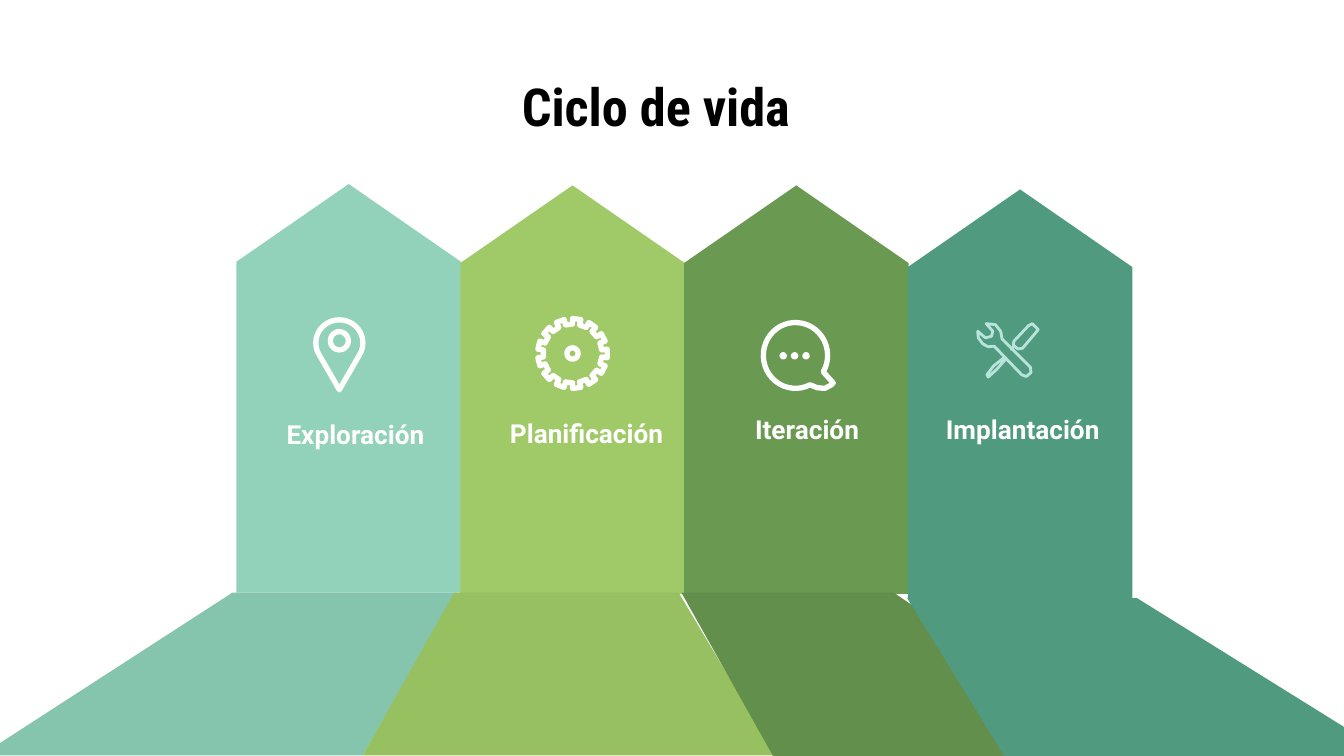
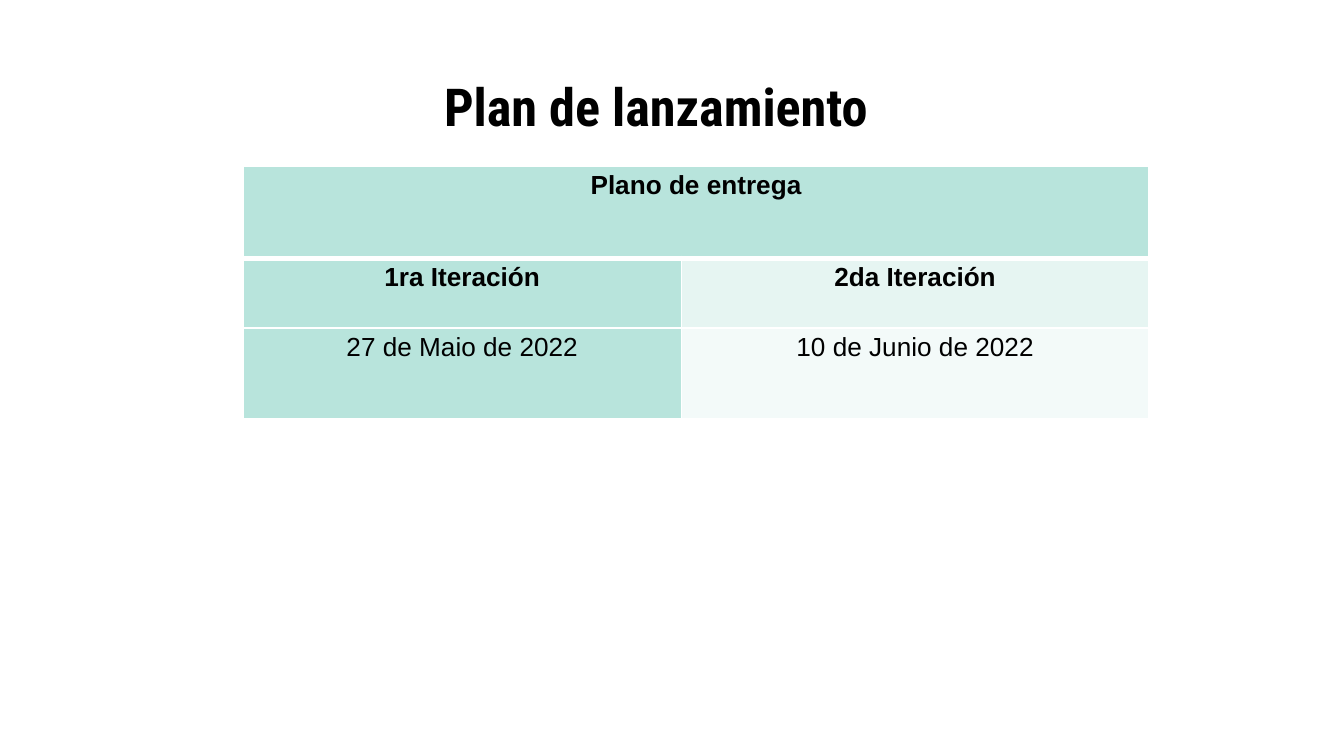
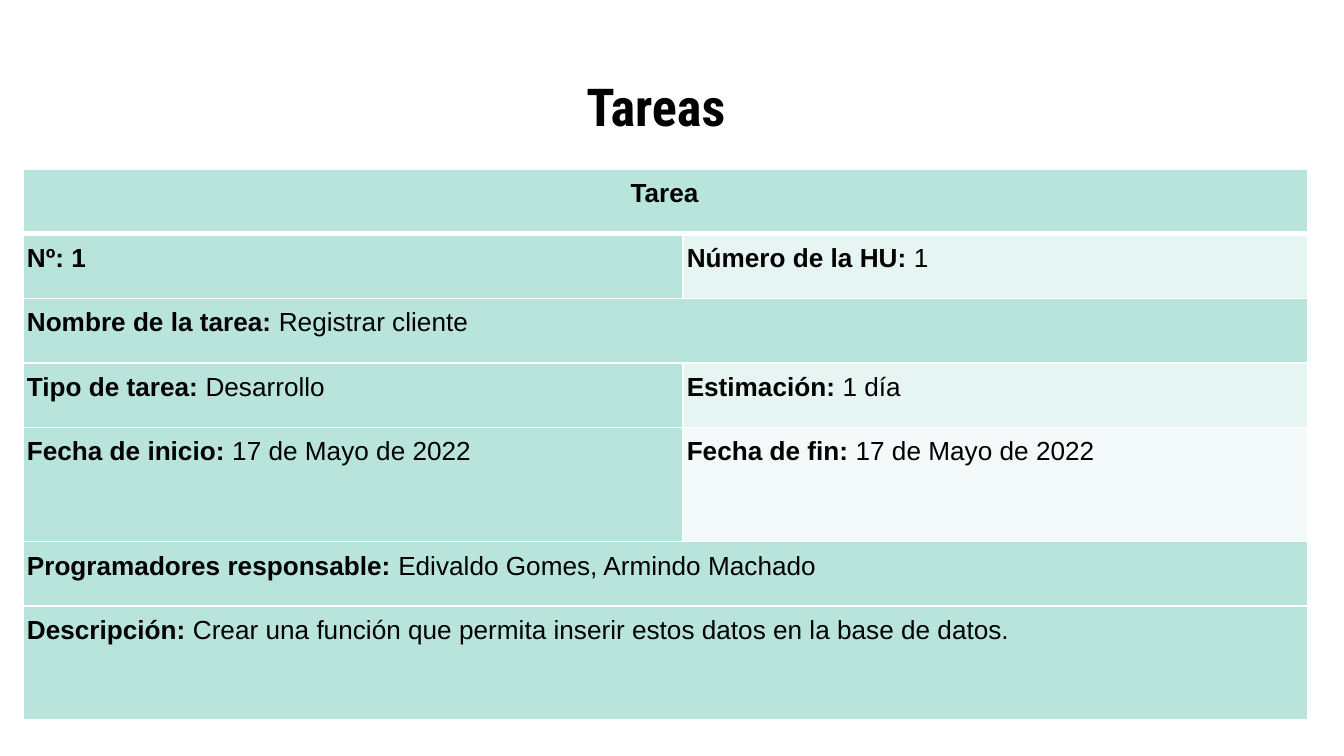
from math import cos, radians, sin

from lxml import etree
from pptx import Presentation, util as u
from pptx.dml.color import RGBColor
from pptx.enum import shapes, text
from pptx.oxml.ns import qn

# Boxes are (left, top, width, height) on a grid of 100 columns with square cells.
WIDTH = u.Inches(10)
HEIGHT = WIDTH * 9 // 16
CELL = WIDTH // 100

WHITE, BLACK = "FFFFFF", "000000"
MINT, MINT_BAND, MINT_PALE = "B8E4DC", "E6F5F2", "F3FAF9"

TITLE_BOX = (5, 4.5, 87.6, 5.2)
TITLE_FONT = {"name": "Roboto Condensed", "size": u.Pt(28), "bold": True}
LABEL_FONT = {"name": "Roboto", "size": u.Pt(14), "bold": True}
TABLE_FONT = {"name": "Arial", "size": u.Pt(14)}
CENTER, LEFT = text.PP_ALIGN.CENTER, text.PP_ALIGN.LEFT

PANEL_LEFT, PANEL_STEP = 17.6, 16.65
PANEL_SIZE = (16.7, 30.4)
PANEL = [(0.5, 0), (0, 0.19), (0, 1), (1, 1), (1, 0.19)]
LABEL_SIZE = (14.1, 2.8)


def rgb(color):
    return RGBColor.from_string(color)


def grid(*cells):
    return [round(cell * CELL) for cell in cells]


def within(box, x, y):
    """Grid point at the shares x, y of a box."""
    left, top, width, height = box
    return left + x * width, top + y * height


def set_all(target, values):
    for name, value in values.items():
        setattr(target, name, value)


def paint(shape, fill=None, line=None, weight=0.75):
    shape.shadow.inherit = False
    for part, color in ((shape.fill, fill), (shape.line.fill, line)):
        if color:
            part.solid()
            part.fore_color.rgb = rgb(color)
        else:
            part.background()
    if line:
        shape.line.width = u.Pt(weight)


def outline(slide, box, contours, **look):
    """Closed contours whose points are shares of the box."""
    contours = [[grid(*within(box, *point)) for point in points] for points in contours]
    builder = slide.shapes.build_freeform(*contours[0][0], scale=1.0)
    for number, (start, *others) in enumerate(contours):
        if number:
            builder.move_to(*start)
        builder.add_line_segments(others, close=True)
    paint(builder.convert_to_shape(), **look)


def arc(x, y, rx, ry, start=0, end=360, steps=40):
    angles = [radians(start + (end - start) * i / steps) for i in range(steps + 1)]
    return [(x + rx * cos(a), y + ry * sin(a)) for a in angles]


def add_run(paragraph, words, font, color):
    run = paragraph.add_run()
    run.text = words
    set_all(run.font, font)
    run.font.color.rgb = rgb(color)


def add_words(slide, box, words, font, color, anchor):
    frame = slide.shapes.add_textbox(*grid(*box)).text_frame
    inset = u.Inches(0.1)
    set_all(frame, {"word_wrap": True, "vertical_anchor": anchor,
                    "margin_left": inset, "margin_right": inset,
                    "margin_top": inset, "margin_bottom": inset})
    frame.paragraphs[0].alignment = CENTER
    add_run(frame.paragraphs[0], words, font, color)


def titled_slide(deck, title):
    slide = deck.slides.add_slide(deck.slide_layouts[6])
    add_words(slide, TITLE_BOX, title, TITLE_FONT, BLACK, text.MSO_ANCHOR.TOP)
    return slide


def pin_icon(slide, left, top):
    drop = arc(0.5, 0.33, 0.5, 0.33, 150, 390) + [(0.5, 1)]
    hole = arc(0.5, 0.3, 0.19, 0.13)
    outline(slide, (left, top, 3.5, 5.2), [drop, hole], line=WHITE, weight=2.83)


def gear_icon(slide, left, top, teeth=13):
    pitch = 360 / teeth
    rim = []
    for tooth in range(teeth):
        middle = tooth * pitch
        for radius, share in ((0.42, -0.25), (0.5, -0.25), (0.5, 0.25), (0.42, 0.25)):
            rim += arc(0.5, 0.5, radius, radius, middle + share * pitch, steps=1)[:1]
    outline(slide, (left, top, 5.2, 5.2), [rim, arc(0.5, 0.5, 0.08, 0.08)],
            line=WHITE, weight=2.83)


def chat_icon(slide, left, top):
    bubble = arc(0.46, 0.49, 0.46, 0.49, 30, -297)
    tail = [(0.77, 0.97), (0.88, 0.98), (0.97, 0.93), (1, 0.9)]
    outline(slide, (left, top, 5.2, 5), [bubble + tail], line=WHITE, weight=2.83)
    for number in range(3):
        dot = slide.shapes.add_shape(
            shapes.MSO_SHAPE.OVAL, *grid(left + 1.25 + 0.85 * number, top + 2.25, 0.45, 0.45))
        paint(dot, fill=WHITE, line=WHITE)


def tools_icon(slide, left, top):
    wrench = [(0.17, 0.02), (0.27, 0.16), (0.25, 0.25), (0.16, 0.28), (0.04, 0.16),
              (0.05, 0.28), (0.12, 0.39), (0.2, 0.44), (0.29, 0.43), (0.71, 0.95),
              (0.78, 0.98), (0.85, 0.91), (0.84, 0.81), (0.41, 0.3), (0.39, 0.16),
              (0.31, 0.04)]
    handle = [(0.59, 0.34), (0.81, 0.06), (0.87, 0.02), (0.96, 0.13), (0.72, 0.47),
              (0.65, 0.48), (0.58, 0.41)]
    blade = [(0.45, 0.63), (0.28, 0.79), (0.18, 0.95), (0.2, 0.99), (0.33, 0.85),
             (0.47, 0.66)]
    shaft = [(0.55, 0.49), (0.6, 0.43)]
    outline(slide, (left, top, 4.9, 4.1), [wrench, handle, blade, shaft],
            line=MINT, weight=1.5)


# Offsets of label and icon start at the panel's corner.
# A road is its top y, top left and right x, bottom y, bottom left and right x.
STAGES = [
    {"name": "Exploración", "top": 13.7, "panel": "93D2BA", "road": "85C5AD",
     "path_of_road": (44.1, 17.3, 33.9, 56.2, -1.4, 27),
     "label": (1.8, 17.2), "icon": (pin_icon, 5.9, 10.1)},
    {"name": "Planificación", "top": 13.8, "panel": "A0CA68", "road": "97C060",
     "path_of_road": (44.1, 33.8, 50.5, 56.2, 27, 57.7),
     "label": (2.35, 17), "icon": (gear_icon, 5.75, 9.9)},
    {"name": "Iteración", "top": 13.8, "panel": "6A9951", "road": "628F4B",
     "path_of_road": (44.1, 50.7, 66.5, 56.4, 57.6, 84.5),
     "label": (2.1, 16.7), "icon": (chat_icon, 5.9, 10.2)},
    {"name": "Implantación", "top": 14.1, "panel": "509A80", "road": "509A80",
     "path_of_road": (44.5, 67.5, 84.6, 56.7, 75, 104.2),
     "label": (1.5, 16.4), "icon": (tools_icon, 5, 9.9)},
]


def add_stage(slide, stage, left):
    top = stage["top"]
    outline(slide, (left, top, *PANEL_SIZE), [PANEL], fill=stage["panel"])
    far, far_left, far_right, near, near_left, near_right = stage["path_of_road"]
    road = [(far_left, far), (near_left, near), (near_right, near), (far_right, far)]
    outline(slide, (0, 0, 1, 1), [road], fill=stage["road"])
    dx, dy = stage["label"]
    add_words(slide, (left + dx, top + dy, *LABEL_SIZE), stage["name"],
              LABEL_FONT, WHITE, text.MSO_ANCHOR.MIDDLE)
    draw_icon, dx, dy = stage["icon"]
    draw_icon(slide, left + dx, top + dy)


def add_borders(cell, bottom=1, top=1):
    weights = {"a:lnL": 1, "a:lnR": 1, "a:lnT": top, "a:lnB": bottom}
    properties = cell._tc.get_or_add_tcPr()
    for place, (side, weight) in enumerate(weights.items()):
        border = etree.Element(qn(side), w=str(u.Pt(weight)))
        solid = etree.SubElement(border, qn("a:solidFill"))
        etree.SubElement(solid, qn("a:srgbClr"), val=WHITE)
        properties.insert(place, border)


def add_record(slide, corner, columns, heights, rows, margins, align):
    """Table of (bold, plain) cells; a row with one cell spans all columns."""
    box = (*corner, sum(columns), sum(heights))
    table = slide.shapes.add_table(len(rows), len(columns), *grid(*box)).table
    set_all(table, {"first_row": False, "horz_banding": False})
    for column, width in zip(table.columns, grid(*columns)):
        column.width = width
    for r, (row, height) in enumerate(zip(rows, grid(*heights))):
        table.rows[r].height = height
        for c in range(len(columns)):
            cell = table.cell(r, c)
            cell.fill.solid()
            band = MINT_BAND if r % 2 else MINT_PALE
            cell.fill.fore_color.rgb = rgb(band if c and len(row) > 1 else MINT)
            add_borders(cell, bottom=1 if r else 3, top=3 if r == 1 else 1)
        if len(row) == 1:
            table.cell(r, 0).merge(table.cell(r, len(columns) - 1))
        for c, (bold, plain) in enumerate(row):
            cell = table.cell(r, c)
            set_all(cell, margins)
            paragraph = cell.text_frame.paragraphs[0]
            set_all(paragraph, {"alignment": align if r else CENTER,
                                "line_spacing": 1.15, "space_after": u.Pt(10)})
            for words, is_bold in ((bold, True), (plain, False)):
                if words:
                    add_run(paragraph, words, {**TABLE_FONT, "bold": is_bold}, BLACK)


def life_cycle(deck):
    slide = titled_slide(deck, "Ciclo de vida")
    for number, stage in enumerate(STAGES):
        add_stage(slide, stage, PANEL_LEFT + number * PANEL_STEP)


def release_plan(deck):
    slide = titled_slide(deck, "Plan de lanzamiento")
    rows = [
        [("Plano de entrega", "")],
        [("1ra Iteración", ""), ("2da Iteración", "")],
        [("", "27 de Maio de 2022"), ("", "10 de Junio de 2022")],
    ]
    margins = {"margin_left": u.Inches(0.07), "margin_right": u.Inches(0.07),
               "margin_top": 0, "margin_bottom": 0}
    add_record(slide, (18.1, 12.4), (32.6, 34.8), (6.8, 5.2, 6.8), rows, margins, CENTER)


def tasks(deck):
    slide = titled_slide(deck, "Tareas")
    rows = [
        [("Tarea", "")],
        [("Nº: 1", ""), ("Número de la HU: ", "1")],
        [("Nombre de la tarea: ", "Registrar cliente")],
        [("Tipo de tarea: ", "Desarrollo"), ("Estimación: ", "1 día")],
        [("Fecha de inicio: ", "17 de Mayo de 2022"),
         ("Fecha de fin: ", "17 de Mayo de 2022")],
        [("Programadores responsable: ", "Edivaldo Gomes, Armindo Machado")],
        [("Descripción: ",
          "Crear una función que permita inserir estos datos en la base de datos.")],
    ]
    margins = {"margin_left": u.Inches(0.03), "margin_right": u.Inches(0.04),
               "margin_top": u.Inches(0.04), "margin_bottom": u.Inches(0.04)}
    heights = (4.8, 4.8, 4.8, 4.8, 8.5, 4.8, 8.5)
    add_record(slide, (1.7, 12.6), (49.1, 46.5), heights, rows, margins, LEFT)


def main():
    deck = Presentation()
    set_all(deck, {"slide_width": WIDTH, "slide_height": HEIGHT})
    for build in (life_cycle, release_plan, tasks):
        build(deck)
    deck.save("out.pptx")


if __name__ == "__main__":
    main()
